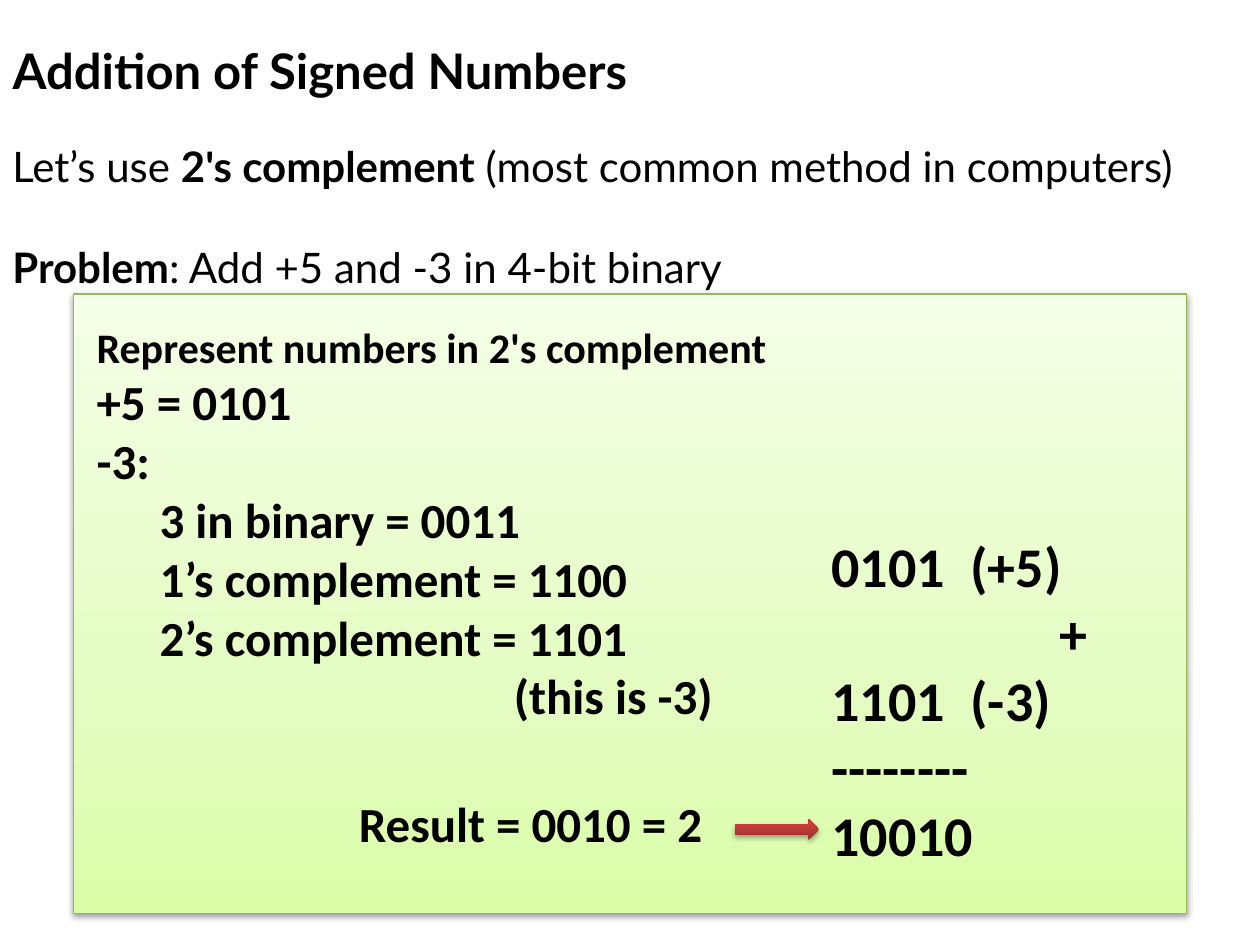
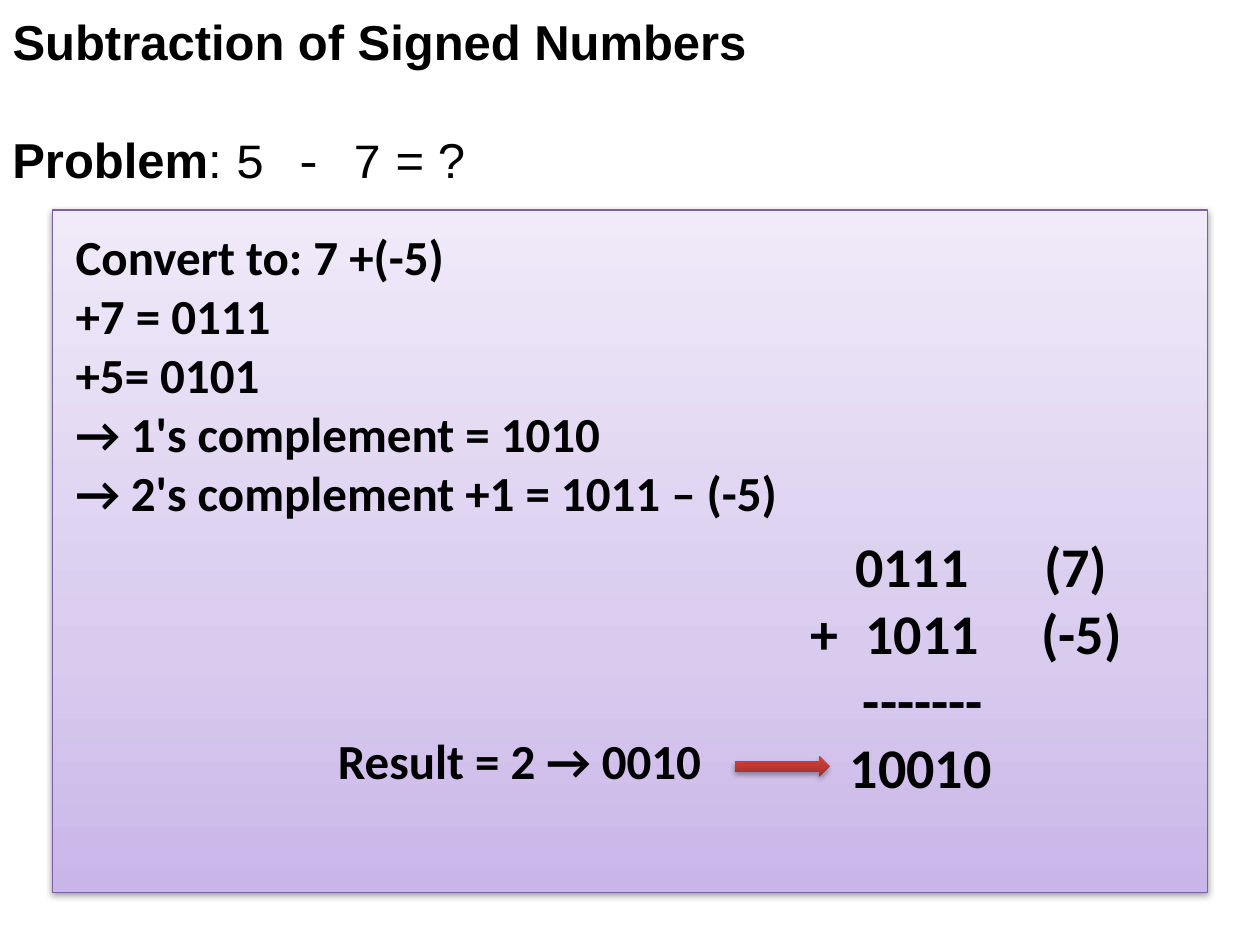
from typing import NamedTuple

from lxml.etree import SubElement
from pptx import Presentation
from pptx.dml.color import RGBColor
from pptx.enum.shapes import MSO_SHAPE
from pptx.enum.text import MSO_ANCHOR, MSO_AUTO_SIZE, PP_ALIGN
from pptx.oxml.ns import qn
from pptx.util import Inches, Pt

COLUMNS, ROWS = 120, 90
WIDTH, HEIGHT = Inches(10), Inches(7.5)
TITLE_AND_CONTENT = 1

BLACK = RGBColor(0x00, 0x00, 0x00)
GREEN_LINE = RGBColor(0x98, 0xB9, 0x55)
PURPLE_LINE = RGBColor(0x7D, 0x60, 0xA0)
GREEN_BLEND = ((0, RGBColor(0xDA, 0xFD, 0xA7)),
               (35, RGBColor(0xE4, 0xFC, 0xC2)),
               (100, RGBColor(0xF5, 0xFF, 0xE7)))
PURPLE_BLEND = ((0, RGBColor(0xC9, 0xB5, 0xE8)),
                (35, RGBColor(0xD8, 0xCB, 0xEE)),
                (100, RGBColor(0xF0, 0xEA, 0xF9)))
RED_BLEND = ((0, RGBColor(0x9C, 0x2F, 0x2D)),
             (80, RGBColor(0xCB, 0x3E, 0x3A)),
             (100, RGBColor(0xCE, 0x3B, 0x37)))


class Type(NamedTuple):
    font: str
    size: int
    bold: bool = True


LATO_TITLE = Type("Lato", 28)
LATO_STRONG = Type("Lato", 24)
LATO_PLAIN = Type("Lato", 24, False)
ARIAL_STRONG = Type("Arial", 28)
ARIAL_PLAIN = Type("Arial", 28, False)
COURIER_PLAIN = Type("Courier New", 28, False)
STEP_HEADING = Type("Calibri", 24)
STEP = Type("Calibri", 28)
SUM = Type("Calibri", 32)


def across(columns):
    return round(WIDTH * columns / COLUMNS)


def down(rows):
    return round(HEIGHT * rows / ROWS)


def grid_box(left, top, width, height):
    return across(left), down(top), across(width), down(height)


def add_color(parent, color):
    return SubElement(parent, qn("a:srgbClr"), val=str(color))


class Lesson:
    """Holds the deck, its style and the slide being filled."""

    def __init__(self):
        self.deck = Presentation()
        self.deck.slide_width, self.deck.slide_height = WIDTH, HEIGHT
        self.slide = None

    def start_page(self):
        layout = self.deck.slide_layouts[TITLE_AND_CONTENT]
        self.slide = self.deck.slides.add_slide(layout)

    def add_spans(self, para, *runs):
        for text, style in runs:
            span = para.add_run()
            span.text = text
            span.font.name = style.font
            span.font.size = Pt(style.size)
            span.font.bold = style.bold
            span.font.color.rgb = BLACK

    def prepare(self, box, place, wrap=True):
        """Place a box and return a function that yields its next paragraph."""
        box.left, box.top, box.width, box.height = grid_box(*place)
        frame = box.text_frame
        frame.word_wrap = wrap
        frame.auto_size = MSO_AUTO_SIZE.NONE
        frame.vertical_anchor = MSO_ANCHOR.TOP
        unused = [frame.paragraphs[0]]

        def next_paragraph():
            para = unused.pop() if unused else frame.add_paragraph()
            para.alignment = PP_ALIGN.LEFT
            para.space_before = Pt(0)
            return para

        return next_paragraph

    def new_text(self, place, wrap=True):
        box = self.slide.shapes.add_textbox(*grid_box(*place))
        return self.prepare(box, place, wrap)

    def title(self, place, text, style):
        next_paragraph = self.prepare(self.slide.shapes.title, place)
        self.add_spans(next_paragraph(), (text, style))

    def intro(self, place, *lines):
        next_paragraph = self.new_text(place)
        for number, runs in enumerate(lines):
            para = next_paragraph()
            para.space_before = Pt(29 if number else 0)
            self.add_spans(para, *runs)

    def steps(self, place, *lines):
        """Fill the body with lines of text, type style and indent in columns."""
        next_paragraph = self.prepare(self.slide.placeholders[1], place)
        for text, style, indent in lines:
            para = next_paragraph()
            para.level = 1 if indent else 0
            self.add_spans(para, (text, style))
            properties = para._p.get_or_add_pPr()
            properties.set("marL", str(across(indent)))
            properties.set("indent", "0")
            SubElement(properties, qn("a:buNone"))

    def column_sum(self, place, *rows):
        """Set rows of (offset in columns, text) pieces, held by tab stops."""
        next_paragraph = self.new_text(place)
        for pieces in rows:
            para = next_paragraph()
            tabs = SubElement(para._p.get_or_add_pPr(), qn("a:tabLst"))
            for offset, text in pieces:
                if offset:
                    SubElement(tabs, qn("a:tab"), pos=str(across(offset)), algn="l")
                    text = "\t" + text
                self.add_spans(para, (text, SUM))

    def result(self, place, text):
        self.add_spans(self.new_text(place, wrap=False)(), (text, STEP))

    def blended_shape(self, kind, place, blend, shade, distance):
        shape = self.slide.shapes.add_shape(kind, *grid_box(*place))
        shape.fill.gradient()
        shape.fill.gradient_angle = 90
        stops = shape.element.spPr.find(".//" + qn("a:gsLst"))
        stops.clear()
        for percent, color in blend:
            add_color(SubElement(stops, qn("a:gs"), pos=str(percent * 1000)), color)
        shape.shadow.inherit = False
        effects = shape.element.spPr.find(qn("a:effectLst"))
        shadow = SubElement(effects, qn("a:outerShdw"), blurRad=str(Pt(3.1)),
                            dist=str(Pt(distance)), dir="5400000", rotWithShape="0")
        SubElement(add_color(shadow, BLACK), qn("a:alpha"), val=str(shade * 1000))
        return shape

    def panel(self, place, blend, line_color):
        """Draw the coloured panel behind the placeholders."""
        panel = self.blended_shape(MSO_SHAPE.RECTANGLE, place, blend, 38, 1.6)
        panel.line.color.rgb = line_color
        panel.line.width = Pt(0.75)
        panel.element.getparent().insert(2, panel.element)

    def arrow(self, place):
        arrow = self.blended_shape(MSO_SHAPE.RIGHT_ARROW, place, RED_BLEND, 35, 1.8)
        arrow.line.fill.background()


def add_addition(lesson):
    lesson.start_page()
    lesson.panel((7, 28, 106, 59), GREEN_BLEND, GREEN_LINE)
    lesson.title((0, 3.25, 120, 7), "Addition of Signed Numbers", LATO_TITLE)
    lesson.intro(
        (0, 12.75, 120, 16),
        [("Let’s use ", LATO_PLAIN), ("2's complement", LATO_STRONG),
         (" (most common method in computers)", LATO_PLAIN)],
        [("Problem", LATO_STRONG), (": Add +5 and -3 in 4-bit binary", LATO_PLAIN)])
    lesson.steps(
        (8, 30, 79, 45),
        ("Represent numbers in 2's complement", STEP_HEADING, 0),
        ("+5 = 0101", STEP, 0),
        ("-3:", STEP, 0),
        ("3 in binary = 0011", STEP, 6),
        ("1’s complement = 1100", STEP, 6),
        ("2’s complement = 1101", STEP, 6),
        ("(this is -3)", STEP, 39.75))
    lesson.column_sum(
        (78, 50, 33, 33.5),
        [(0, "0101"), (13.25, "(+5)")],
        [(21.75, "+")],
        [(0, "1101"), (13.25, "(-3)")],
        [(0, "--------")],
        [(0, "10010")])
    lesson.result((33, 75, 35.5, 7), "Result = 0010 = 2")
    lesson.arrow((70, 78, 8, 2))


def add_subtraction(lesson):
    lesson.start_page()
    lesson.panel((5, 20, 110, 65), PURPLE_BLEND, PURPLE_LINE)
    lesson.title((0, 0.5, 96, 7), "Subtraction of Signed Numbers", ARIAL_STRONG)
    lesson.intro(
        (0, 11.75, 96, 7),
        [("Problem", ARIAL_STRONG), (": ", ARIAL_PLAIN),
         ("5 - 7", COURIER_PLAIN), (" = ?", ARIAL_PLAIN)])
    lesson.steps(
        (6, 21, 93, 39),
        ("Convert to: 7 +(-5)", STEP, 0),
        ("+7 = 0111", STEP, 0),
        ("+5= 0101", STEP, 0),
        ("→ 1's complement = 1010", STEP, 0),
        ("→ 2's complement +1 = 1011 – (-5)", STEP, 0))
    lesson.column_sum(
        (76, 50, 33, 27),
        [(4.25, "0111"), (22.25, "(7)")],
        [(0, "+"), (5.25, "1011"), (22, "(-5)")],
        [(5, "-------")],
        [(3.75, "10010")])
    lesson.result((31, 69, 37.5, 7), "Result = 2 → 0010")
    lesson.arrow((70, 72, 9, 2))


def main():
    lesson = Lesson()
    add_addition(lesson)
    add_subtraction(lesson)
    lesson.deck.save("out.pptx")


if __name__ == "__main__":
    main()
